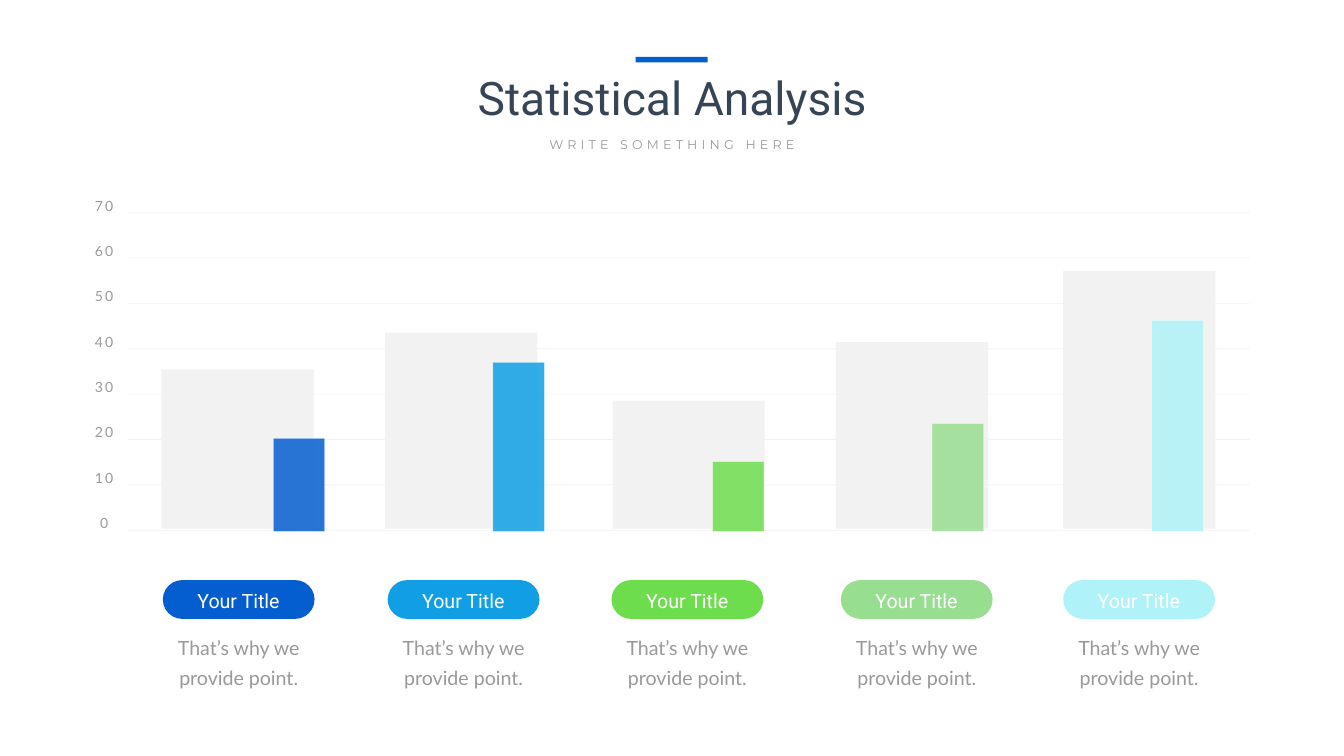
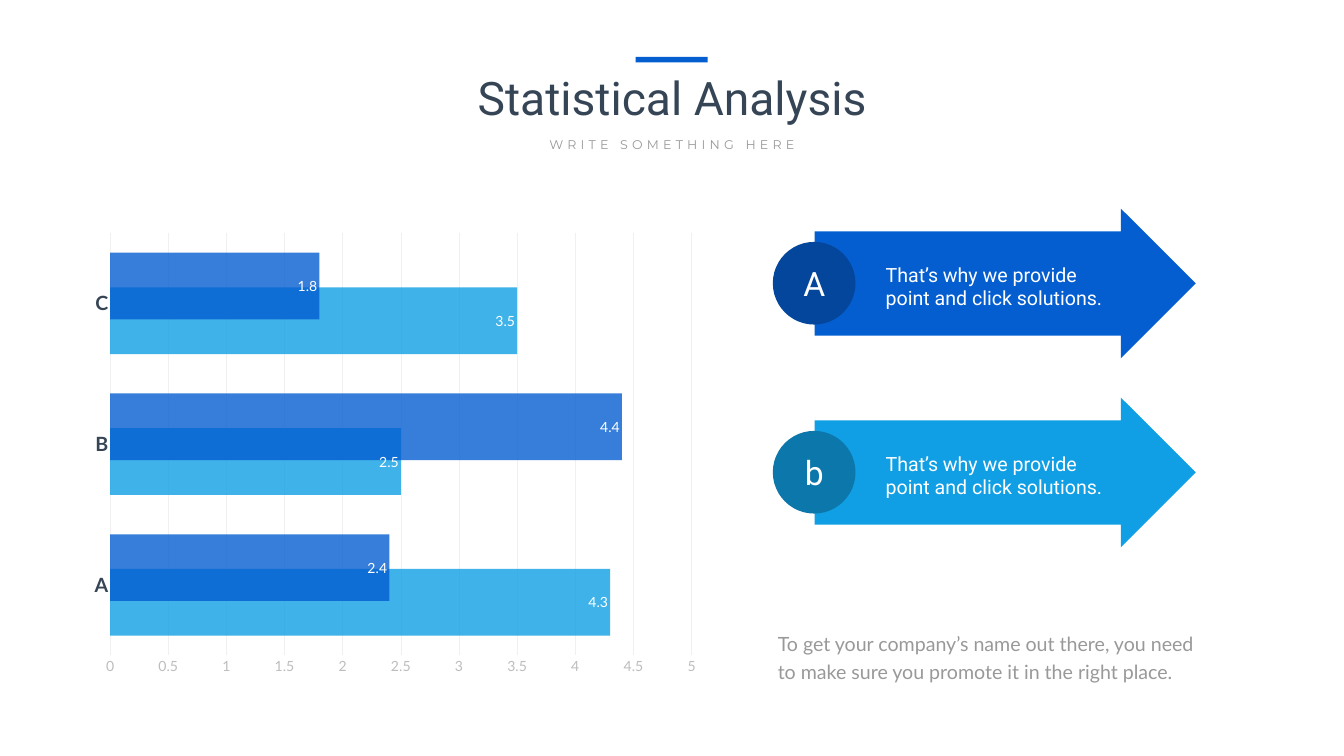
from lxml.etree import SubElement
from pptx import Presentation
from pptx.chart.data import CategoryChartData
from pptx.dml.color import RGBColor
from pptx.enum.chart import XL_CHART_TYPE as ChartType
from pptx.enum.chart import XL_LABEL_POSITION as LabelPosition
from pptx.enum.chart import XL_TICK_MARK as TickMark
from pptx.enum.shapes import MSO_CONNECTOR as Connector
from pptx.enum.shapes import MSO_SHAPE as Shape
from pptx.enum.text import MSO_AUTO_SIZE as AutoSize
from pptx.enum.text import PP_ALIGN as Align
from pptx.oxml.ns import qn
from pptx.util import Inches, Pt

WHITE = RGBColor(0xFF, 0xFF, 0xFF)
SLATE = RGBColor(0x36, 0x45, 0x56)
GREY = RGBColor(0x99, 0x99, 0x99)
MID_GREY = RGBColor(0x80, 0x80, 0x80)
AXIS_GREY = RGBColor(0xBD, 0xBD, 0xBD)
GRID_GREY = RGBColor(0xF0, 0xF0, 0xF0)
BAR_GREY = RGBColor(0xF2, 0xF2, 0xF2)
BLUE = RGBColor(0x04, 0x5E, 0xD0)
SKY = RGBColor(0x10, 0x9F, 0xE4)
GREEN = RGBColor(0x6E, 0xDD, 0x4D)
MINT = RGBColor(0x98, 0xDE, 0x91)
AQUA = RGBColor(0xAF, 0xF3, 0xF9)
DEEP_BLUE = RGBColor(0x03, 0x46, 0x9C)
DEEP_SKY = RGBColor(0x0C, 0x77, 0xAB)

COLUMNS = [
    (3.23, 3.20, 3.16, 44, BLUE),
    (7.69, 7.64, 3.89, 80, SKY),
    (12.13, 12.15, 2.54, 33, GREEN),
    (16.68, 16.58, 3.70, 51, MINT),
    (21.09, 21.09, 5.11, 100, AQUA),
]
ARROWS = [("A", BLUE, DEEP_BLUE), ("b", SKY, DEEP_SKY)]
BAR_SERIES = [
    ("Series 1", (4.3, 2.5, 3.5), SKY),
    ("Series 2", (2.4, 4.4, 1.8), BLUE),
]


def inches(*lengths):
    """Convert plain numbers to lengths."""
    return [Inches(length) for length in lengths]


def fade(element, percent):
    """Make every still opaque colour inside an element see-through."""
    for colour in list(element.iter(qn("a:srgbClr"))):
        if not len(colour):
            SubElement(colour, qn("a:alpha"), val=str(percent * 1000))


def style_font(font, name, size, colour, bold=False):
    """Set the face, size, colour and weight of a font."""
    font.name = name
    font.size = Pt(size)
    font.bold = bold
    font.color.rgb = colour


def add_text(page, box, words, name, size, colour,
             align=Align.CENTER, spacing=None, tracking=0):
    """Add a wrapped text box of one paragraph."""
    frame = page.shapes.add_textbox(*inches(*box)).text_frame
    frame.word_wrap = True
    frame.auto_size = AutoSize.SHAPE_TO_FIT_TEXT
    para = frame.paragraphs[0]
    para.text = words
    para.alignment = align
    if spacing:
        para.line_spacing = Pt(spacing)
    style_font(para.font, name, size, colour)
    if tracking:
        defaults = para._p.get_or_add_pPr().get_or_add_defRPr()
        defaults.set("spc", str(tracking * 100))


def add_block(page, kind, box, colour, adjustments=()):
    """Add a flat filled shape without outline."""
    block = page.shapes.add_shape(kind, *inches(*box))
    block.shadow.inherit = False
    block.fill.solid()
    block.fill.fore_color.rgb = colour
    block.line.fill.background()
    for index, value in enumerate(adjustments):
        block.adjustments[index] = value


def add_gridline(page, left, top, width):
    """Add one faint horizontal rule."""
    rule = page.shapes.add_connector(
        Connector.STRAIGHT, *inches(left, top, left + width, top))
    rule.line.color.rgb = MID_GREY
    rule.line.width = Pt(1)
    properties = rule._element.spPr
    fade(properties, 10)
    SubElement(properties, qn("a:effectLst"))


def add_chart(page, kind, box, categories, series_rows):
    """Add a chart without title or legend."""
    data = CategoryChartData()
    data.categories = categories
    for name, values in series_rows:
        data.add_series(name, values)
    chart = page.shapes.add_chart(kind, *inches(*box), data).chart
    chart.has_legend = False
    chart.has_title = False
    chart.plots[0].vary_by_categories = False
    return chart


def add_heading(page, left, top):
    """Add the accent bar, title and subtitle."""
    add_text(page, (left, top + 0.19, 11.19, 1.21),
             "Statistical Analysis", "Roboto", 66, SLATE)
    add_text(page, (left + 2.61, top + 1.53, 5.96, 0.4),
             "WRITE SOMETHING HERE", "Montserrat", 18, GREY, tracking=6)
    add_block(page, Shape.RECTANGLE, (left + 4.87, top, 1.43, 0.11), BLUE)


def add_scale(page, left, top, width, step):
    """Add the gridlines and their value labels."""
    for index in range(8):
        line_top = top + index * step
        add_gridline(page, left, line_top, width)
        add_text(page, (left - 0.93, line_top - 0.36, 0.93, 0.44),
                 str(70 - index * 10), "Lato", 20, GREY, tracking=3)


def add_column_chart(page, box):
    """Add the coloured columns in front of the grey bars."""
    values = [column[3] for column in COLUMNS]
    chart = add_chart(page, ChartType.COLUMN_CLUSTERED, box,
                      ["1", "2", "3", "4", "5"], [("Series 1", values)])
    style_font(chart.font, "Lato", 28, GREY)
    chart.category_axis.visible = False
    scale = chart.value_axis
    scale.visible = False
    scale.has_major_gridlines = False
    scale.minimum_scale = 0
    scale.maximum_scale = 110
    chart.plots[0].gap_width = 327
    series = chart.plots[0].series[0]
    series.invert_if_negative = False
    formats = [series.points[index].format for index in range(len(COLUMNS))]
    for style, column in zip(formats, COLUMNS):
        style.fill.solid()
        style.fill.fore_color.rgb = column[4]
    fade(series._element, 85)
    for style in formats:
        style.line.color.rgb = WHITE
        style.line.width = Pt(0.75)
    fade(series._element, 50)


def add_caption(page, left, top, colour):
    """Add a pill with its title and the words below."""
    add_block(page, Shape.ROUNDED_RECTANGLE, (left, top, 3.01, 0.77),
              colour, [0.5])
    add_text(page, (left + 0.21, top + 0.12, 2.58, 0.57),
             "Your Title", "Roboto", 28, WHITE)
    add_text(page, (left - 0.22, top + 0.93, 3.45, 1.24),
             "That’s why we provide point.", "Lato", 28, GREY, spacing=43)


def add_bar_chart(page, box):
    """Add the overlapping bars with value labels."""
    chart = add_chart(page, ChartType.BAR_CLUSTERED, box, ["A", "B", "C"],
                      [row[:2] for row in BAR_SERIES])
    style_font(chart.font, "Calibri", 10, GREY)
    names, scale = chart.category_axis, chart.value_axis
    for axis in (names, scale):
        axis.major_tick_mark = TickMark.NONE
        axis.minor_tick_mark = TickMark.NONE
    style_font(names.tick_labels.font, "Lato", 28, SLATE, bold=True)
    style_font(scale.tick_labels.font, "Lato", 20, AXIS_GREY)
    scale.minimum_scale = 0
    scale.maximum_scale = 5
    scale.major_unit = 0.5
    scale.format.line.fill.background()
    for line in (names.format.line, scale.major_gridlines.format.line):
        line.color.rgb = GRID_GREY
        line.width = Pt(0.75)
    plot = chart.plots[0]
    plot.gap_width = 59
    plot.overlap = 48
    for series, (_, _, colour) in zip(plot.series, BAR_SERIES):
        series.invert_if_negative = False
        series.format.fill.solid()
        series.format.fill.fore_color.rgb = colour
        fade(series._element, 80)
        labels = series.data_labels
        labels.show_value = True
        labels.position = LabelPosition.INSIDE_END
        style_font(labels.font, "Lato", 20, WHITE)


def add_arrow(page, left, top, letter, colour, badge_colour):
    """Add an arrow with its words and a lettered badge."""
    add_block(page, Shape.RIGHT_ARROW, (left + 0.83, top, 7.56, 2.97),
              colour, [0.696, 0.5])
    add_text(page, (left + 2.14, top + 1.02, 4.52, 0.93),
             "That’s why we provide point and click solutions.",
             "Roboto", 28, WHITE, Align.LEFT)
    add_block(page, Shape.OVAL, (left, top + 0.66, 1.64, 1.64), badge_colour)
    add_text(page, (left + 0.33, top + 1.02, 0.99, 0.91),
             letter, "Roboto", 48, WHITE)


def add_page(deck):
    """Add a blank white page with the shared heading."""
    page = deck.slides.add_slide(deck.slide_layouts[6])
    page.background.fill.solid()
    page.background.fill.fore_color.rgb = WHITE
    add_heading(page, 7.74, 1.13)
    return page


def build_column_page(deck):
    """Build the page with five captioned columns."""
    page = add_page(deck)
    add_scale(page, 2.53, 4.22, 22.26, 0.9)
    for _, left, height, _, _ in COLUMNS:
        add_block(page, Shape.RECTANGLE,
                  (left, 10.49 - height, 3.02, height), BAR_GREY)
    add_column_chart(page, (3.3, 5.84, 22.69, 4.8))
    for left, _, _, _, colour in COLUMNS:
        add_caption(page, left, 11.51, colour)


def build_bar_page(deck):
    """Build the page with a bar chart and two arrows."""
    page = add_page(deck)
    add_bar_chart(page, (1.63, 4.44, 12.42, 9.13))
    for index, arrow in enumerate(ARROWS):
        add_arrow(page, 15.33, 4.14 + index * 3.75, *arrow)
    add_text(page, (15.33, 12.38, 8.77, 1.19),
             "To get your company’s name out there, you need to make sure "
             "you promote it in the right place.",
             "Lato", 28, GREY, Align.LEFT, spacing=40.8)


def main():
    """Build both pages and save the deck."""
    deck = Presentation()
    deck.slide_width, deck.slide_height = inches(26.66, 15)
    build_column_page(deck)
    build_bar_page(deck)
    deck.save("out.pptx")


if __name__ == "__main__":
    main()
